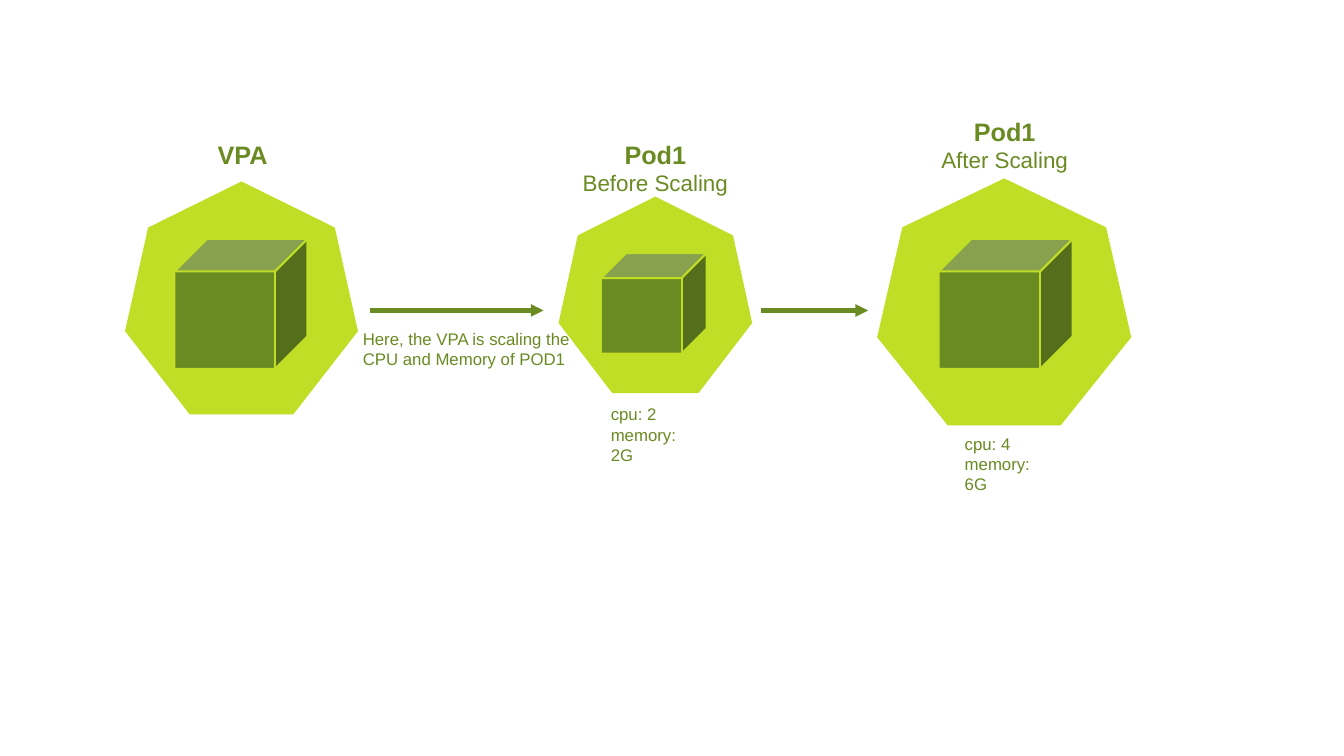
from copy import deepcopy
from pptx import Presentation
from pptx.dml.color import RGBColor
from pptx.enum.shapes import MSO_CONNECTOR as LINE, MSO_SHAPE as SHAPE
from pptx.enum.text import MSO_AUTO_SIZE as FIT, PP_ALIGN as ALIGN
from pptx.oxml.ns import qn
from pptx.util import Pt
from lxml.etree import SubElement

PX = 9144  # 100 px to the inch
LIME, GREEN = "C0DE25", "6A8A22"


def paint(color, code):
    color.rgb = RGBColor.from_string(code)


def write(box, lines, align=ALIGN.LEFT, wrap=True):
    frame = slide.shapes.add_textbox(*[n * PX for n in box]).text_frame
    frame.word_wrap = wrap
    frame.auto_size = FIT.SHAPE_TO_FIT_TEXT
    para = frame.paragraphs[0]
    para.alignment = align
    for i, (text, size, bold) in enumerate(lines):
        if i:
            # The break keeps the size of the line it ends
            para.add_line_break()
            para._p[-1].append(deepcopy(run._r.rPr))
        run = para.add_run()
        run.text = text
        font = run.font
        font.name, font.size, font.bold = "Arial", Pt(size), bold
        paint(font.color, GREEN)


deck = Presentation()
deck.slide_width, deck.slide_height = 1333 * PX, 750 * PX
slide = deck.slides.add_slide(deck.slide_layouts[6])

# Pods: a heptagon with a cube on it
pods = [
    ((124, 180, 231, 231), (173, 237, 132, 129)),
    ((554, 195, 192, 195), (596, 251, 105, 100)),
    ((870, 177, 252, 245), (931, 237, 133, 129)),
]
for base, cube in pods:
    for kind, box, fill in ((SHAPE.HEPTAGON, base, LIME), (SHAPE.CUBE, cube, GREEN)):
        shape = slide.shapes.add_shape(kind, *[n * PX for n in box])
        shape.shadow.inherit = False
        shape.fill.solid()
        paint(shape.fill.fore_color, fill)
        if kind == SHAPE.CUBE:
            paint(shape.line.color, LIME)
            shape.line.width = Pt(1.5)
        else:
            shape.line.fill.background()

# Arrows from pod to pod
for start, end in ((367, 539), (755, 861)):
    arrow = slide.shapes.add_connector(
        LINE.STRAIGHT, start * PX, 308 * PX, end * PX, 308 * PX)
    paint(arrow.line.color, GREEN)
    arrow.line.width = Pt(3)
    SubElement(arrow.line._get_or_add_ln(), qn("a:tailEnd"), type="triangle")
    SubElement(arrow._element.spPr, qn("a:effectLst"))

# Titles
write((206, 133, 70, 40), [("VPA", 18, True)], wrap=False)
for box, stage in (((567, 133, 166, 67), "Before Scaling"),
                   ((923, 110, 147, 67), "After Scaling")):
    write(box, [("Pod1", 18, True), (stage, 16, False)], ALIGN.CENTER, False)

# Note under the first arrow
write((350, 321, 232, 50),
      [("Here, the VPA is scaling the CPU and Memory of POD1", 12, False)])

# Resources of each pod
for left, top, cpu, memory in ((596, 396, 2, "2G"), (947, 425, 4, "6G")):
    write((left, top, 110, 71),
          [(f"cpu: {cpu}", 12, False), (f"memory: {memory}", 12, False)])

deck.save("out.pptx")
